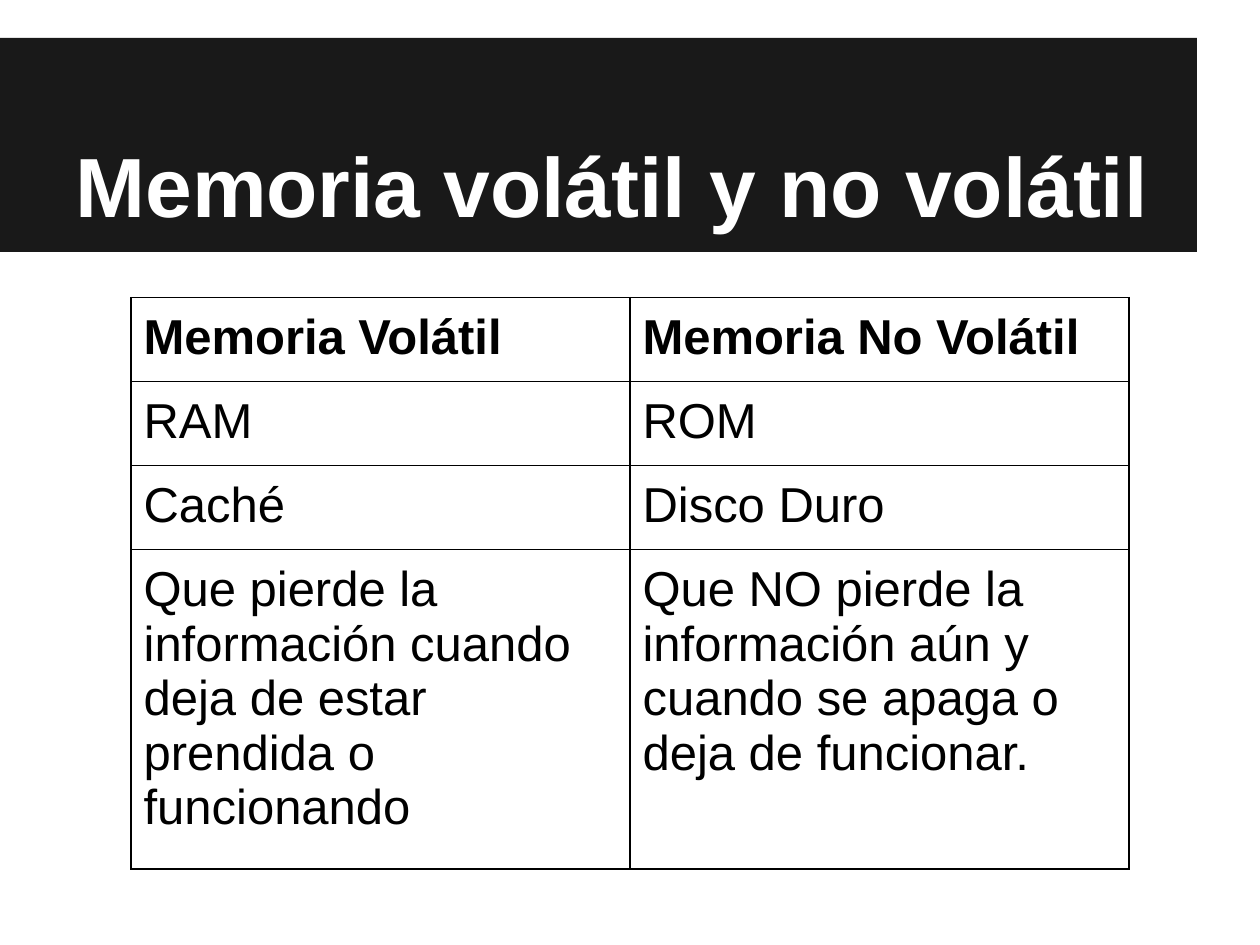
from lxml import etree
from pptx import Presentation
from pptx.dml.color import RGBColor
from pptx.enum.shapes import MSO_SHAPE
from pptx.enum.text import MSO_ANCHOR, PP_ALIGN
from pptx.oxml.ns import qn
from pptx.util import Inches, Pt

RECTANGLE = MSO_SHAPE.RECTANGLE
BOTTOM, TOP = MSO_ANCHOR.BOTTOM, MSO_ANCHOR.TOP
LEFT = PP_ALIGN.LEFT

BLACK, WHITE, CHARCOAL = "000000", "FFFFFF", "191919"
ROWS = [
    ("Memoria Volátil", "Memoria No Volátil"),
    ("RAM", "ROM"),
    ("Caché", "Disco Duro"),
    ("Que pierde la información cuando deja de estar prendida o funcionando",
     "Que NO pierde la información aún y cuando se apaga o deja de funcionar."),
]
ROW_HEIGHTS = [0.63, 0.63, 0.63, 2.37]


def color(value):
    return RGBColor.from_string(value)


class SlideBuilder:
    font = "Arial"
    margin = Inches(0.1)
    border_width = Pt(0.75)

    def __init__(self, page):
        self.page = page

    def band(self, left, top, width, height, fill):
        shape = self.page.shapes.add_shape(
            RECTANGLE, Inches(left), Inches(top), Inches(width), Inches(height))
        shape.shadow.inherit = False
        shape.fill.solid()
        shape.fill.fore_color.rgb = color(fill)
        shape.line.fill.background()

    def set_text(self, frame, text, size, ink, bold):
        frame.word_wrap = True
        para = frame.paragraphs[0]
        para.text = text
        para.alignment = LEFT
        para.font.name = self.font
        para.font.size = Pt(size)
        para.font.bold = bold
        para.font.color.rgb = color(ink)

    def set_margins(self, holder):
        """Give a text frame or a table cell the same inset on each side."""
        holder.margin_left = holder.margin_right = self.margin
        holder.margin_top = holder.margin_bottom = self.margin

    def heading(self, text, left, top, width, height):
        box = self.page.shapes.add_textbox(
            Inches(left), Inches(top), Inches(width), Inches(height))
        frame = box.text_frame
        frame.vertical_anchor = BOTTOM
        self.set_margins(frame)
        self.set_text(frame, text, 48, WHITE, True)

    def cell_borders(self, cell):
        properties = cell._tc.get_or_add_tcPr()
        for position, side in enumerate(("a:lnL", "a:lnR", "a:lnT", "a:lnB")):
            line = etree.Element(qn(side), w=str(self.border_width))
            fill = etree.SubElement(line, qn("a:solidFill"))
            etree.SubElement(fill, qn("a:srgbClr"), val=BLACK)
            properties.insert(position, line)

    def table(self, rows, left, top, column_width, row_heights):
        columns = len(rows[0])
        table = self.page.shapes.add_table(
            len(rows), columns, Inches(left), Inches(top),
            Inches(column_width * columns), Inches(sum(row_heights))).table
        table.horz_banding = False
        for column in table.columns:
            column.width = Inches(column_width)
        for index, (texts, height) in enumerate(zip(rows, row_heights)):
            table.rows[index].height = Inches(height)
            for cell, text in zip(table.rows[index].cells, texts):
                cell.fill.background()
                cell.vertical_anchor = TOP
                self.set_margins(cell)
                self.set_text(cell.text_frame, text, 28, BLACK, index == 0)
                self.cell_borders(cell)


def main():
    deck = Presentation()
    deck.slide_width, deck.slide_height = Inches(10), Inches(7.5)
    builder = SlideBuilder(deck.slides.add_slide(deck.slide_layouts[6]))
    builder.band(0, 0.3, 9.5, 1.7, CHARCOAL)
    builder.heading("Memoria volátil y no volátil", 0.5, 0.3, 9, 1.66)
    builder.table(ROWS, 1.04, 2.36, 3.96, ROW_HEIGHTS)
    deck.save("out.pptx")


if __name__ == "__main__":
    main()
